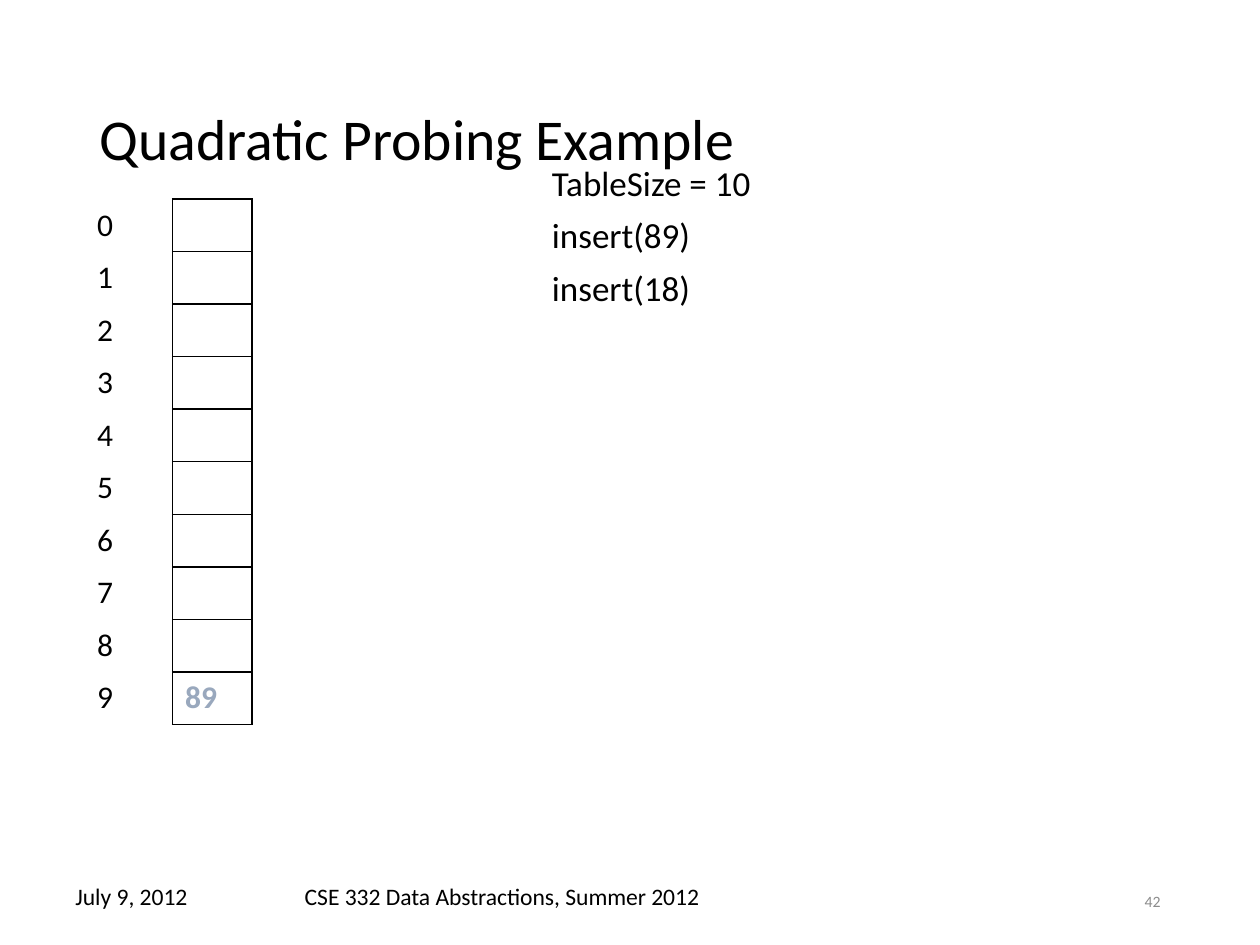
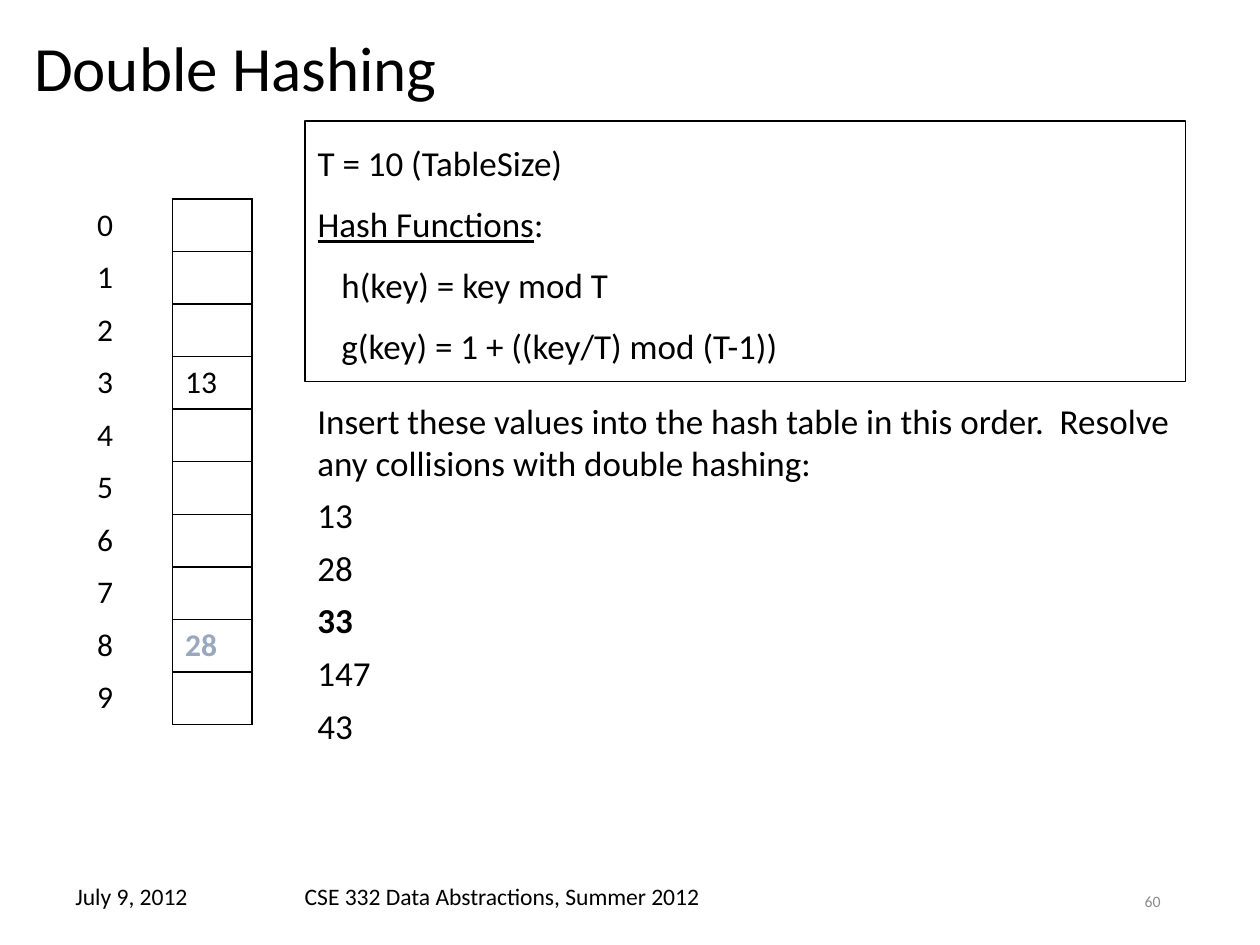
from lxml import etree
from pptx import Presentation
from pptx.dml.color import RGBColor
from pptx.enum.text import MSO_ANCHOR, MSO_AUTO_SIZE, PP_ALIGN
from pptx.oxml.ns import qn
from pptx.util import Inches, Pt

LEFT, RIGHT = PP_ALIGN.LEFT, PP_ALIGN.RIGHT
TOP, MIDDLE = MSO_ANCHOR.TOP, MSO_ANCHOR.MIDDLE
NO_AUTOFIT = MSO_AUTO_SIZE.NONE

FONT = "Calibri"
COLORS = {"text": "000000", "latest": "99A8BD", "number": "8C8C8C"}
PLAIN_TABLE_STYLE = "{2D5ABB26-0587-4C30-8999-92F81FD0307C}"

BUCKETS = 10
TABLE_AREA = (0.67, 1.58, 1.33, 4.17)
COLUMN_WIDTHS = (0.7, 0.63)
FORMULA_MARGIN = 0.19

FOOTERS = [
    ("July 9, 2012", (0.5, 6.95, 1.75, 0.4)),
    ("CSE 332 Data Abstractions, Summer 2012", (2.32, 6.95, 5.35, 0.4)),
]
NUMBER_AREA = (7.06, 6.95, 2.25, 0.4)

PROBING = {
    "title": "Quadratic Probing Example",
    "title_area": (0.69, 0.4, 8.62, 1.45),
    "title_size": 33,
    "number": 42,
    "stored": {9: 89},
    "latest": 89,
    "body": [
        {"runs": [("TableSize = 10", {})]},
        {"runs": [("insert(89)", {})]},
        {"runs": [("insert(18)", {})]},
    ],
    "body_area": (4.28, 1.23, 4.82, 1.28),
}

HASHING = {
    "title": "Double Hashing",
    "title_area": (0.17, 0.19, 9.67, 0.75),
    "title_size": 36,
    "number": 60,
    "stored": {3: 13, 8: 28},
    "latest": 28,
    "body": [
        {"runs": [("T = 10 (TableSize)", {})]},
        {"runs": [("Hash Functions", {"underline": True}), (":", {})]},
        {"runs": [("h(key) = key mod T", {})], "margin": FORMULA_MARGIN},
        {"runs": [("g(key) = 1 + ((key/T) mod (T-1))", {})], "margin": FORMULA_MARGIN},
    ],
    "body_area": (2.42, 0.96, 6.99, 2.07),
    "boxed": True,
}

INSERT_AREA = (2.42, 3.12, 7.28, 2.88)
INSERT_LIST = [
    {"runs": [("Insert these values into the hash table in this order.  "
               "Resolve any collisions with double hashing:", {})]},
    {"runs": [("13", {})]},
    {"runs": [("28", {})]},
    {"runs": [("33", {"bold": True})]},
    {"runs": [("147", {})]},
    {"runs": [("43", {})]},
]


def add_run(paragraph, text, size, color="text", bold=False, underline=False):
    run = paragraph.add_run()
    run.text = text
    font = run.font
    font.name, font.size = FONT, Pt(size)
    font.bold, font.underline = bold, underline
    font.color.rgb = RGBColor.from_string(COLORS[color])


def place(shape, area):
    shape.left, shape.top, shape.width, shape.height = map(Inches, area)


def prepare_frame(shape, anchor=TOP):
    frame = shape.text_frame
    frame.word_wrap = True
    frame.auto_size = NO_AUTOFIT
    frame.vertical_anchor = anchor
    return frame


def add_line(slide, text, area, size, color="text", align=LEFT, anchor=TOP):
    textbox = slide.shapes.add_textbox(*map(Inches, area))
    paragraph = prepare_frame(textbox, anchor).paragraphs[0]
    paragraph.alignment = align
    add_run(paragraph, text, size, color)


def write_list(shape, items, line_spacing=1.0):
    frame = prepare_frame(shape)
    for index, item in enumerate(items):
        paragraph = frame.add_paragraph() if index else frame.paragraphs[0]
        properties = paragraph._p.get_or_add_pPr()
        properties.set("marL", str(Inches(item.get("margin", 0))))
        properties.set("indent", "0")
        etree.SubElement(properties, qn("a:buNone"))
        paragraph.alignment = LEFT
        paragraph.line_spacing = line_spacing
        paragraph.space_before = Pt(6 if index else 0)
        for text, style in item["runs"]:
            add_run(paragraph, text, 20, **style)


def add_borders(cell):
    properties = cell._tc.get_or_add_tcPr()
    for side in ("lnL", "lnR", "lnT", "lnB"):
        line = etree.SubElement(properties, qn(f"a:{side}"), w=str(Pt(1)))
        fill = etree.SubElement(line, qn("a:solidFill"))
        etree.SubElement(fill, qn("a:srgbClr"), val=COLORS["text"])


def fill_cell(cell, text, latest=False):
    cell.vertical_anchor = MIDDLE
    cell.fill.background()
    if text:
        color = "latest" if latest else "text"
        add_run(cell.text_frame.paragraphs[0], text, 18, color, bold=latest)


def add_hash_table(slide, stored, latest):
    table = slide.shapes.add_table(BUCKETS, 2, *map(Inches, TABLE_AREA)).table
    table.first_row = table.horz_banding = False
    table._tbl.tblPr.find(qn("a:tableStyleId")).text = PLAIN_TABLE_STYLE
    for column, width in zip(table.columns, COLUMN_WIDTHS):
        column.width = Inches(width)
    for bucket in range(BUCKETS):
        value = stored.get(bucket)
        add_borders(table.cell(bucket, 1))
        fill_cell(table.cell(bucket, 0), str(bucket))
        fill_cell(table.cell(bucket, 1), str(value or ""), value == latest)


def add_slide(presentation, content):
    slide = presentation.slides.add_slide(presentation.slide_layouts[1])
    title, body = slide.placeholders
    place(title, content["title_area"])
    paragraph = prepare_frame(title, MIDDLE).paragraphs[0]
    paragraph.alignment = LEFT
    paragraph.line_spacing = 0.9
    add_run(paragraph, content["title"], content["title_size"])

    place(body, content["body_area"])
    boxed = content.get("boxed", False)
    write_list(body, content["body"], 1.2 if boxed else 1.0)
    if boxed:
        body.line.color.rgb = RGBColor.from_string(COLORS["text"])
        body.line.width = Pt(0.75)
        body.text_frame.margin_top = body.text_frame.margin_bottom = Inches(0.1)

    for text, area in FOOTERS:
        add_line(slide, text, area, 13.5)
    add_line(slide, str(content["number"]), NUMBER_AREA, 9, "number", RIGHT, MIDDLE)
    add_hash_table(slide, content["stored"], content["latest"])
    return slide


def main():
    presentation = Presentation()
    presentation.slide_width, presentation.slide_height = Inches(10), Inches(7.5)
    add_slide(presentation, PROBING)
    hashing_slide = add_slide(presentation, HASHING)
    insert_box = hashing_slide.shapes.add_textbox(*map(Inches, INSERT_AREA))
    write_list(insert_box, INSERT_LIST)
    presentation.save("out.pptx")


if __name__ == "__main__":
    main()
